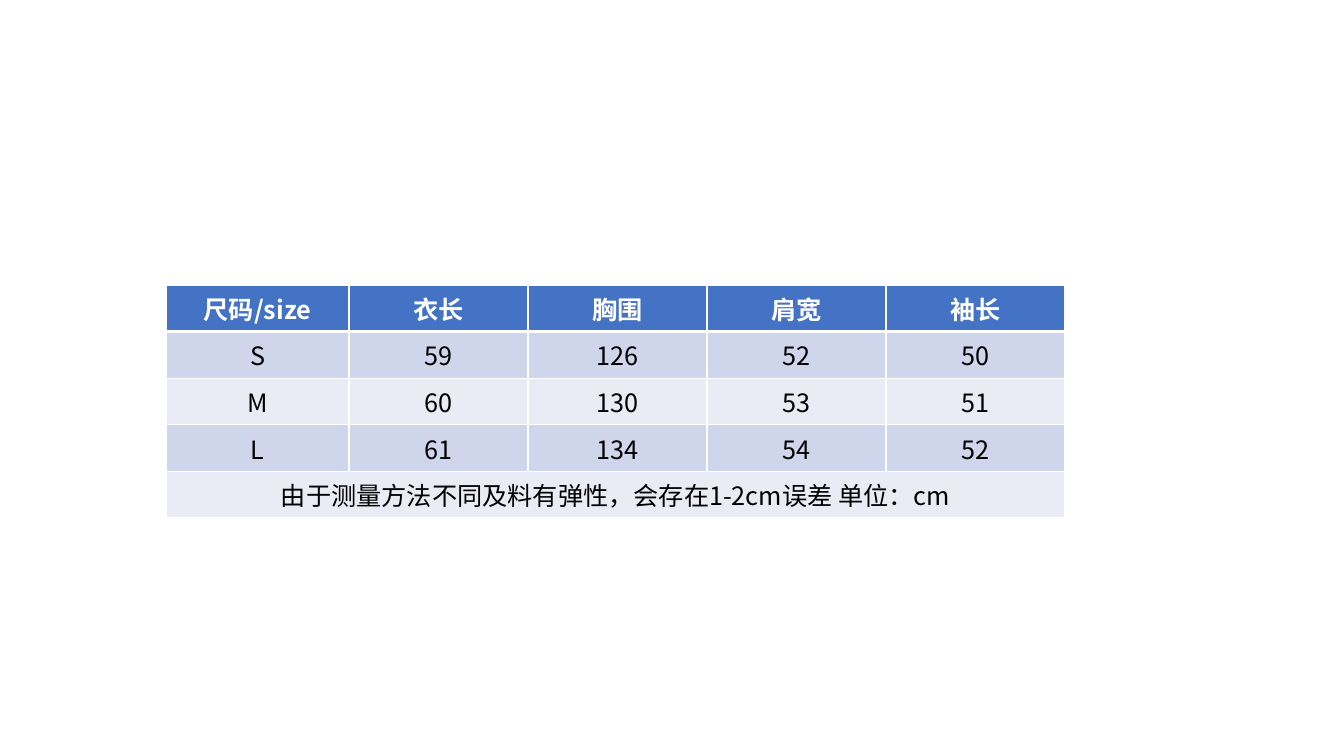
from lxml import etree
from pptx import Presentation, util as u
from pptx.dml.color import RGBColor
from pptx.enum import text
from pptx.oxml import ns

PX = 914400 / 100.8
FONT = "Noto Sans CJK SC"
COLORS = {"white": "FFFFFF", "ink": "000000", "header": "4472C4",
          "band": "CFD5EA", "pale": "E9EBF5"}


def px(length):
    return u.Emu(round(length * PX))


def add_border(cell, position, side, points):
    line = etree.Element(ns.qn(f"a:ln{side}"), w=str(u.Pt(points)))
    fill = etree.SubElement(line, ns.qn("a:solidFill"))
    etree.SubElement(fill, ns.qn("a:srgbClr"), val=COLORS["white"])
    cell._tc.get_or_add_tcPr().insert(position, line)


# Slide
prs = Presentation()
prs.slide_width, prs.slide_height = px(1344), px(756)
slide = prs.slides.add_slide(prs.slide_layouts[6])

# Size chart content
sizes = [
    ["尺码/size", "衣长", "胸围", "肩宽", "袖长"],
    ["S", "59", "126", "52", "50"],
    ["M", "60", "130", "53", "51"],
    ["L", "61", "134", "54", "52"],
    ["由于测量方法不同及料有弹性，会存在1-2cm误差 单位：cm", "", "", "", ""],
]
column_widths = [183] + [179] * 4
row_height = 41

# Table grid
size_table = slide.shapes.add_table(
    len(sizes), len(column_widths), px(166), px(285),
    px(sum(column_widths)), px(row_height * len(sizes))).table
for column, width in zip(size_table.columns, column_widths):
    column.width = px(width)
for row in size_table.rows:
    row.height = px(row_height)

# Cells: header row, then alternating bands
for r, values in enumerate(sizes):
    is_header = r == 0
    background = "header" if is_header else "band" if r % 2 else "pale"
    for c, value in enumerate(values):
        cell = size_table.cell(r, c)
        cell.fill.solid()
        cell.fill.fore_color.rgb = RGBColor.from_string(COLORS[background])
        widths = {"L": 1, "R": 1, "T": 3 if r == 1 else 1, "B": 3 if is_header else 1}
        for position, (side, points) in enumerate(widths.items()):
            add_border(cell, position, side, points)
        if not value:
            continue
        cell.text = value
        paragraph = cell.text_frame.paragraphs[0]
        paragraph.alignment = text.PP_ALIGN.CENTER
        font = paragraph.font
        font.size, font.bold, font.name = u.Pt(18), is_header, FONT
        font.color.rgb = RGBColor.from_string(COLORS["white" if is_header else "ink"])
        etree.SubElement(font._rPr, ns.qn("a:ea"), typeface=FONT)

# Measurement note spans the last row
last = len(sizes) - 1
size_table.cell(last, 0).merge(size_table.cell(last, len(column_widths) - 1))

prs.save("out.pptx")
